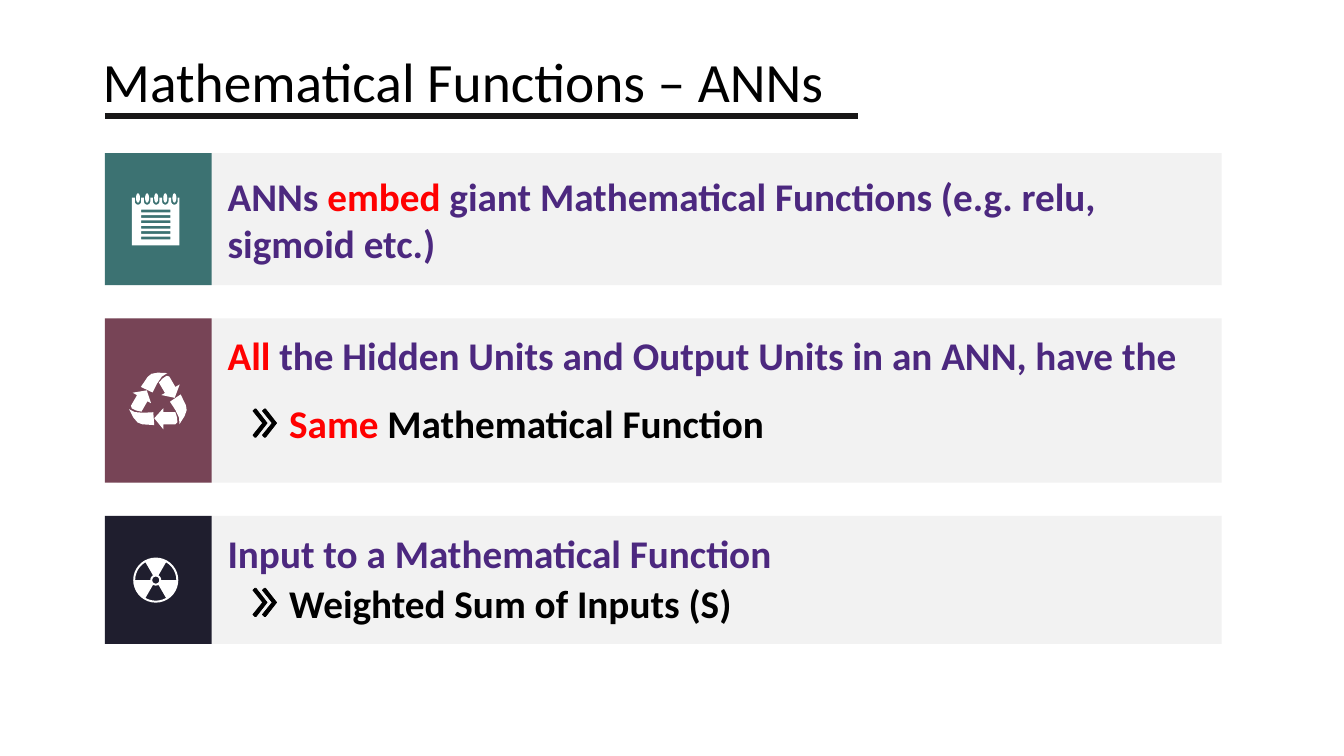
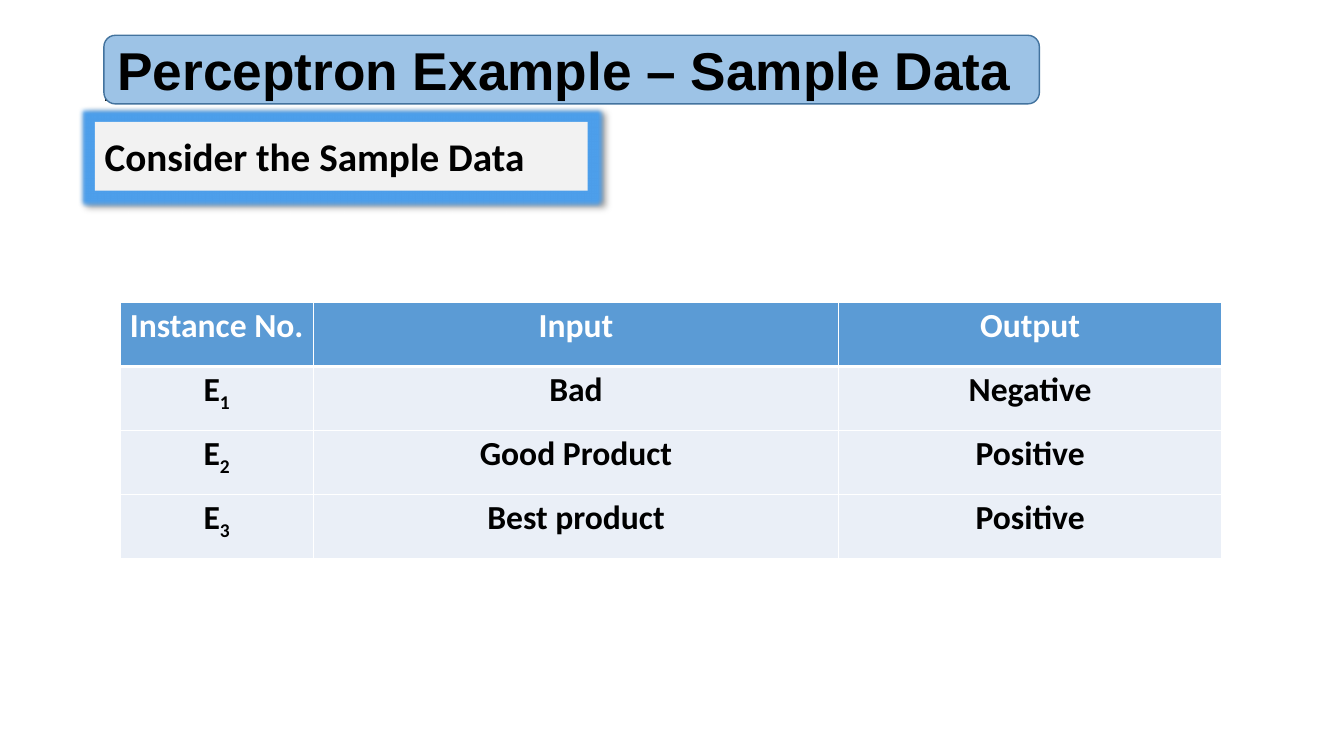
"""Build two slides on functions and sample data for neural networks."""
from dataclasses import dataclass
from math import cos, radians, sin

from lxml import etree
from pptx import Presentation
from pptx.dml.color import RGBColor
from pptx.enum.shapes import MSO_CONNECTOR, MSO_SHAPE
from pptx.enum.text import MSO_ANCHOR, MSO_AUTO_SIZE, PP_ALIGN
from pptx.oxml.ns import qn
from pptx.util import Pt

RECT, ROUND = MSO_SHAPE.RECTANGLE, MSO_SHAPE.ROUNDED_RECTANGLE
STRAIGHT = MSO_CONNECTOR.STRAIGHT
TOP, MIDDLE, BOTTOM = MSO_ANCHOR.TOP, MSO_ANCHOR.MIDDLE, MSO_ANCHOR.BOTTOM
LEFT, CENTER, JUSTIFY = PP_ALIGN.LEFT, PP_ALIGN.CENTER, PP_ALIGN.JUSTIFY
NO_FIT = MSO_AUTO_SIZE.NONE

BLACK = RGBColor(0x00, 0x00, 0x00)
WHITE = RGBColor(0xFF, 0xFF, 0xFF)
INK = RGBColor(0x18, 0x17, 0x17)
PANEL = RGBColor(0xF2, 0xF2, 0xF2)
TEAL = RGBColor(0x3C, 0x72, 0x72)
PLUM = RGBColor(0x77, 0x44, 0x56)
NAVY = RGBColor(0x1F, 0x1E, 0x2E)
PURPLE = RGBColor(0x4C, 0x28, 0x7F)
RED = RGBColor(0xFF, 0x00, 0x00)
BLUE = RGBColor(0x5B, 0x9B, 0xD5)
SKY = RGBColor(0x9D, 0xC3, 0xE6)
EDGE = RGBColor(0x43, 0x73, 0x9E)
PALE = RGBColor(0xEA, 0xEF, 0xF7)

SANS, HEAD = "Calibri", "Arial"
MARGIN = 74.9
BAND_TOP, BAND_GAP = 109.4, 23.8
Point = tuple[float, float]
Outline = list[Point]


@dataclass
class Box:
    """Place and size in points."""
    left: float
    top: float
    wide: float
    tall: float

    def lengths(self) -> tuple:
        return Pt(self.left), Pt(self.top), Pt(self.wide), Pt(self.tall)


@dataclass
class Span:
    """Piece of text in one colour."""
    text: str
    color: RGBColor = PURPLE


@dataclass
class Band:
    """Row with a coloured tile, a heading and an optional point."""
    tall: float
    color: RGBColor
    icon: list[Outline]
    drop: float
    head: list[Span]
    item_top: float = 0
    item: tuple[Span, ...] = ()


def style(run, size: float, color: RGBColor, bold=True, face=SANS) -> None:
    """Format one run."""
    font = run.font
    font.size, font.bold, font.name = Pt(size), bold, face
    font.color.rgb = color


def add_box(slide, kind, box: Box, color: RGBColor, edge=None):
    """Draw a filled preset shape."""
    shape = slide.shapes.add_shape(kind, *box.lengths())
    shape.shadow.inherit = False
    shape.fill.solid()
    shape.fill.fore_color.rgb = color
    if edge is None:
        shape.line.fill.background()
    else:
        shape.line.color.rgb = edge
        shape.line.width = Pt(1)
    return shape


def add_rule(slide, top: float, wide: float) -> None:
    """Draw the heavy line under a title."""
    line = slide.shapes.add_connector(
        STRAIGHT, Pt(MARGIN), Pt(top), Pt(MARGIN + wide), Pt(top))
    line.line.color.rgb = INK
    line.line.width = Pt(4.5)
    etree.SubElement(line._element.spPr, qn("a:effectLst"))


def set_title(slide, text: str, box: Box, size: float, bold: bool, face: str) -> None:
    """Place and format the title, in front of the shapes so far."""
    title = slide.shapes.title
    title.left, title.top, title.width, title.height = box.lengths()
    frame = title.text_frame
    frame.text = text
    frame.word_wrap, frame.auto_size = True, NO_FIT
    frame.vertical_anchor = MIDDLE
    para = frame.paragraphs[0]
    para.alignment = LEFT
    style(para.runs[0], size, BLACK, bold, face)
    slide.shapes._spTree.append(title._element)


def add_text(slide, box: Box, spans, inset=True) -> None:
    """Write a line of coloured spans."""
    frame = slide.shapes.add_textbox(*box.lengths()).text_frame
    frame.word_wrap = True
    frame.vertical_anchor = TOP if inset else BOTTOM
    para = frame.paragraphs[0]
    para.alignment = LEFT if inset else JUSTIFY
    if not inset:
        frame.margin_left = frame.margin_right = 0
        frame.margin_top = frame.margin_bottom = 0
    for span in spans:
        run = para.add_run()
        run.text = span.text
        style(run, 28, span.color)


def add_path(slide, parts: list[Outline], color: RGBColor, edge=False) -> None:
    """Draw closed outlines as one freeform."""
    pen = None
    for part in parts:
        dots = [(Pt(x), Pt(y)) for x, y in part]
        if pen is None:
            pen = slide.shapes.build_freeform(*dots[0], scale=1.0)
        else:
            pen.move_to(*dots[0])
        pen.add_line_segments(dots[1:], close=True)
    shape = pen.convert_to_shape()
    shape.shadow.inherit = False
    shape.fill.solid()
    shape.fill.fore_color.rgb = color
    if edge:
        shape.line.color.rgb = color
        shape.line.width = Pt(0.5)
    else:
        shape.line.fill.background()


def arc(mid: Point, wide: float, tall: float, start: int, stop: int) -> Outline:
    """List points along part of an ellipse."""
    step = 10 if stop > start else -10
    return [(mid[0] + wide * cos(radians(a)), mid[1] + tall * sin(radians(a)))
            for a in range(start, stop + step, step)]


def notepad() -> list[Outline]:
    """Outline a ringed page with six lines."""
    left, right, top, base = 94.3, 128.2, 141.1, 175.2
    rings = [98.6 + 6.5 * i for i in range(5)]
    page = [(left, top)]
    for x in rings:
        page += [(x - 2.3, top)] + arc((x, top + 2.7), 2.3, 2.4, 180, 0)
        page.append((x + 2.3, top))
    page += [(right, top), (right, base), (left, base)]
    lines = []
    for i in range(6):
        y = 149.8 + 3.84 * i
        lines.append([(100.8, y), (121.7, y), (121.7, y + 1.9), (100.8, y + 1.9)])
    return [page, *lines, *(arc((x, 141.4), 1.4, 3.3, 0, 350) for x in rings)]


def cycle() -> list[Outline]:
    """Outline three arrows that chase each other."""
    head = [(3.4, 4.3), (3.4, 7.2), (12, 7.2), (13.2, 11), (13.4, 14.4),
            (12, 15.8), (3.4, 15.8), (3.4, 19.4), (-3.1, 11.5)]
    tail = [(-21.1, 5), (-17, 7.1), (-11, 7.6), (-3.8, 7.2), (-3.1, 16.4),
            (-11.7, 15.8), (-15, 14.5), (-18, 11)]
    parts = []
    for turn in (0, 120, 240):
        c, s = cos(radians(turn)), sin(radians(turn))
        parts += [[(113.3 + x * c - y * s, 287.3 + x * s + y * c)
                   for x, y in part] for part in (head, tail)]
    return parts


def hazard() -> list[Outline]:
    """Outline a disc with three blades cut out."""
    mid = (111.3, 414.4)
    blades = [arc(mid, 14.7, 14.7, a, a + 60) + arc(mid, 3.9, 3.9, a + 60, a)
              for a in (60, 180, 300)]
    return [arc(mid, 16.1, 16.1, 0, 350), *blades, arc(mid, 2.5, 2.5, 0, 350)]


def chevron(left: float, top: float) -> list[Outline]:
    """Outline a double arrowhead."""
    half = [(0, 1.4), (1.4, 0), (2.2, 0), (10.1, 10.1),
            (2.2, 20.2), (1.4, 20.2), (0, 18.7), (7, 10.1)]
    return [[(left + shift + x, top + y) for x, y in half] for shift in (6.8, 0)]


def add_band(slide, band: Band, top: float) -> None:
    """Draw one band with its tile, icon and text."""
    add_box(slide, RECT, Box(83.5, top, 789.2, band.tall), PANEL)
    add_box(slide, RECT, Box(MARGIN, top, 76.3, band.tall), band.color)
    add_path(slide, band.icon, WHITE)
    add_text(slide, Box(155.5, top + band.drop, 703, 41), band.head)
    if band.item:
        y = top + band.item_top
        add_text(slide, Box(206.6, y, 651.6, 34), band.item, False)
        add_path(slide, chevron(180.7, y + 7), BLACK, True)


def add_glow(shape) -> None:
    """Give a shape a blue glow and a soft shadow."""
    effects = shape._element.spPr.find(qn("a:effectLst"))
    shade = {"blurRad": str(Pt(4)), "dist": str(Pt(3)), "dir": "2700000",
             "algn": "tl", "rotWithShape": "0"}
    for tag, attrs, color, alpha in (
            ("a:glow", {"rad": str(Pt(6))}, RGBColor(0x4D, 0x9F, 0xEB), "100000"),
            ("a:outerShdw", shade, BLACK, "40000")):
        effect = etree.SubElement(effects, qn(tag), attrs)
        tint = etree.SubElement(effect, qn("a:srgbClr"), val=str(color))
        etree.SubElement(tint, qn("a:alpha"), val=alpha)


def set_cell(cell, text: str, sub: str, head: bool) -> None:
    """Fill, border and write one cell."""
    props = cell._tc.get_or_add_tcPr()
    for side in "LRTB":
        width = 3 if head and side == "B" else 1
        line = etree.SubElement(props, qn("a:ln" + side), w=str(Pt(width)))
        fill = etree.SubElement(line, qn("a:solidFill"))
        etree.SubElement(fill, qn("a:srgbClr"), val=str(WHITE))
    cell.fill.solid()
    cell.fill.fore_color.rgb = BLUE if head else PALE
    cell.margin_left = cell.margin_right = Pt(5)
    cell.margin_top = cell.margin_bottom = 0
    cell.vertical_anchor = TOP
    para = cell.text_frame.paragraphs[0]
    para.text = text
    para.alignment, para.line_spacing = CENTER, 1.07
    if sub:
        low = para.add_run()
        low.text = sub
        low._r.get_or_add_rPr().set("baseline", "-25000")
    for run in para.runs:
        style(run, 24, WHITE if head else BLACK)


def add_grid(slide, box: Box, widths: list[float], rows: list[list[str]]) -> None:
    """Draw the table of samples."""
    table = slide.shapes.add_table(len(rows), len(widths), *box.lengths()).table
    for col, width in zip(table.columns, widths):
        col.width = Pt(width)
    for i, row in enumerate(rows):
        table.rows[i].height = Pt(box.tall / len(rows))
        for j, text in enumerate(row):
            sub = str(i) if i and j == 0 else ""
            set_cell(table.cell(i, j), text, sub, i == 0)


def math_slide(slide) -> None:
    """Build the slide on mathematical functions."""
    set_title(slide, "Mathematical Functions – ANNs",
              Box(66.2, 28.8, 657.4, 56.9), 39.6, False, SANS)
    add_rule(slide, 82.8, 537.8)
    bands = [
        Band(94.3, TEAL, notepad(), 10, [
            Span("ANNs "), Span("embed", RED),
            Span(" giant Mathematical Functions (e.g. relu, sigmoid etc.)")]),
        Band(117.3, PLUM, cycle(), 5.8, [
            Span("All", RED),
            Span(" the Hidden Units and Output Units in an ANN, have the")],
            57.6, (Span("Same", RED), Span(" Mathematical Function", BLACK))),
        Band(91.4, NAVY, hazard(), 5.8, [Span("Input to a Mathematical Function")],
             44.6, (Span("Weighted Sum of Inputs (S)", BLACK),))]
    top = BAND_TOP
    for band in bands:
        add_band(slide, band, top)
        top += band.tall + BAND_GAP


def data_slide(slide) -> None:
    """Build the slide with the sample table."""
    add_rule(slide, 69.8, 208.8)
    note = add_box(slide, RECT, Box(67.7, 87.1, 352.1, 49), PANEL)
    add_glow(note)
    frame = note.text_frame
    frame.text = "Consider the Sample Data"
    frame.word_wrap, frame.vertical_anchor = True, MIDDLE
    frame.paragraphs[0].alignment = LEFT
    style(frame.paragraphs[0].runs[0], 28, BLACK)
    add_grid(slide, Box(85.7, 216, 787, 182.9), [138.2, 375.1, 273.7], [
        ["Instance No.", "Input", "Output"], ["E", "Bad", "Negative"],
        ["E", "Good Product", "Positive"], ["E", "Best product", "Positive"]])
    plate = Box(74.2, 25.2, 668.2, 49)
    add_box(slide, ROUND, plate, SKY, EDGE)
    set_title(slide, "Perceptron Example – Sample Data",
              Box(76.6, plate.top, plate.wide, plate.tall), 38, True, HEAD)


def main() -> None:
    """Build and save the slides."""
    deck = Presentation()
    deck.slide_width, deck.slide_height = Pt(960), Pt(540)
    for build in (math_slide, data_slide):
        build(deck.slides.add_slide(deck.slide_layouts[5]))
    deck.save("out.pptx")


if __name__ == "__main__":
    main()
